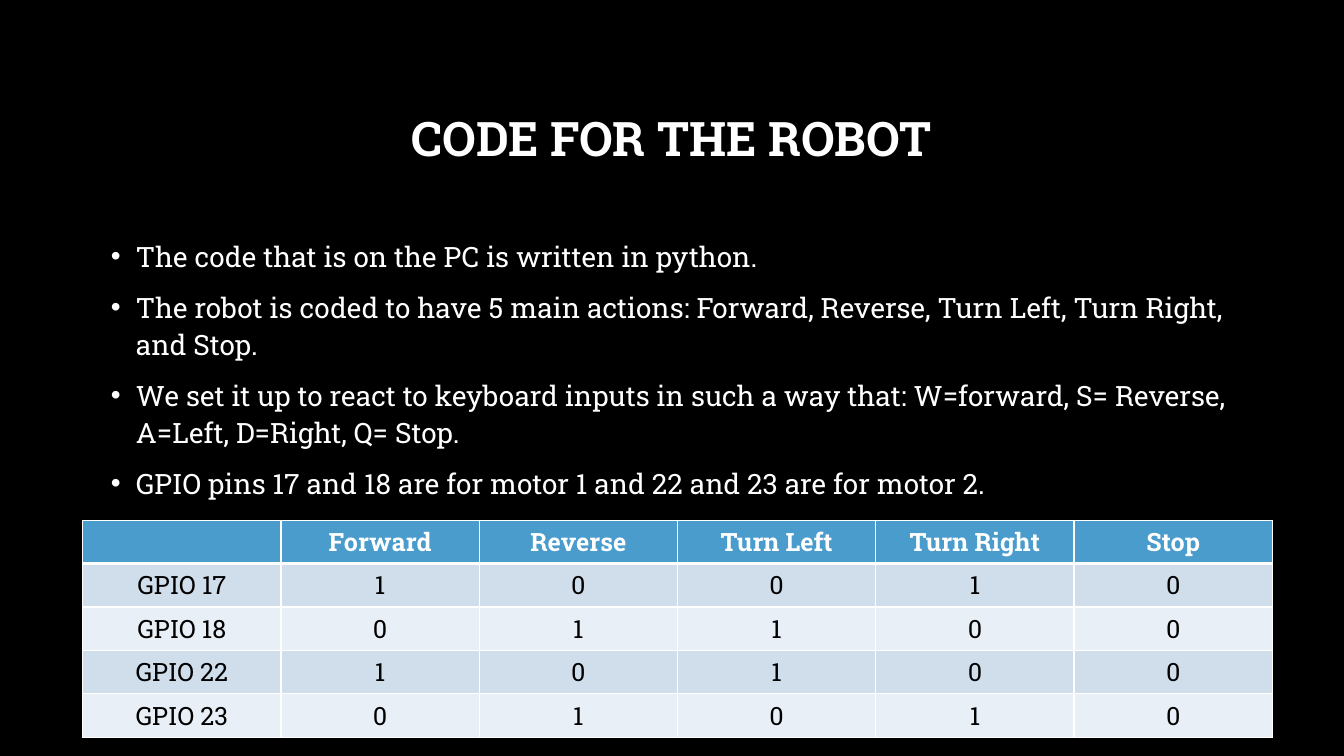
from pptx import Presentation
from pptx.dml.color import RGBColor
from pptx.enum.text import MSO_ANCHOR, MSO_AUTO_SIZE, PP_ALIGN
from pptx.oxml import parse_xml
from pptx.oxml.ns import nsdecls
from pptx.util import Inches, Pt

FONT = "Roboto Slab"
WHITE, BLACK = "FFFFFF", "000000"
HEADER_FILL = "4A9CCC"
BAND_FILLS = ("D0DEEC", "E9EFF6")

POINTS = [
    "The code that is on the PC is written in python.",
    "The robot is coded to have 5 main actions: Forward, Reverse, Turn Left, "
    "Turn Right, and Stop.",
    "We set it up to react to keyboard inputs in such a way that: W=forward, "
    "S= Reverse, A=Left, D=Right, Q= Stop.",
    "GPIO pins 17 and 18 are for motor 1 and 22 and 23 are for motor 2.",
]
PIN_STATES = [
    ("", "Forward", "Reverse", "Turn Left", "Turn Right", "Stop"),
    ("GPIO 17", "1", "0", "0", "1", "0"),
    ("GPIO 18", "0", "1", "1", "0", "0"),
    ("GPIO 22", "1", "0", "1", "0", "0"),
    ("GPIO 23", "0", "1", "0", "1", "0"),
]


def rgb(color):
    return RGBColor.from_string(color)


def format_text(paragraph, size, color, bold=False):
    for run in paragraph.runs:
        run.font.name = FONT
        run.font.size = Pt(size)
        run.font.bold = bold
        run.font.color.rgb = rgb(color)


def place_title(slide, text):
    title = slide.shapes.title
    title.left, title.top = Inches(1), Inches(0.67)
    title.width, title.height = Inches(11.32), Inches(1.45)
    frame = title.text_frame
    frame.text = text
    frame.vertical_anchor = MSO_ANCHOR.MIDDLE
    heading = frame.paragraphs[0]
    heading.alignment = PP_ALIGN.CENTER
    heading.line_spacing = 0.9
    format_text(heading, 34, WHITE, bold=True)


def add_bullet(paragraph):
    properties = paragraph._p.get_or_add_pPr()
    properties.set("marL", str(Inches(0.25)))
    properties.set("indent", str(Inches(-0.25)))
    for xml in ('<a:buFont {} typeface="Arial"/>', '<a:buChar {} char="•"/>'):
        properties.append(parse_xml(xml.format(nsdecls("a"))))


def add_bullet_list(slide, points):
    frame = slide.shapes.add_textbox(
        Inches(1), Inches(2.29), Inches(11.32), Inches(2.89)).text_frame
    frame.word_wrap = True
    frame.auto_size = MSO_AUTO_SIZE.TEXT_TO_FIT_SHAPE
    frame.text = "\n".join(points)
    for point in frame.paragraphs:
        point.line_spacing = 1.1
        point.space_before = Pt(10)
        add_bullet(point)
        format_text(point, 20, WHITE)


def set_borders(cell, bottom_width):
    properties = cell._tc.get_or_add_tcPr()
    widths = {"lnL": 1, "lnR": 1, "lnT": 1, "lnB": bottom_width}
    for position, (side, width) in enumerate(widths.items()):
        properties.insert(position, parse_xml(
            f'<a:{side} {nsdecls("a")} w="{Pt(width)}"><a:solidFill>'
            f'<a:srgbClr val="{WHITE}"/></a:solidFill></a:{side}>'))


def add_pin_table(slide, rows):
    row_height = Inches(0.43)
    table = slide.shapes.add_table(
        len(rows), len(rows[0]), Inches(0.82), Inches(5.16),
        Inches(11.8), row_height * len(rows)).table
    for row_index, values in enumerate(rows):
        is_header = row_index == 0
        fill = HEADER_FILL if is_header else BAND_FILLS[(row_index - 1) % 2]
        for column_index, value in enumerate(values):
            cell = table.cell(row_index, column_index)
            cell.text = value
            cell.fill.solid()
            cell.fill.fore_color.rgb = rgb(fill)
            label = cell.text_frame.paragraphs[0]
            label.alignment = PP_ALIGN.CENTER
            format_text(label, 18, WHITE if is_header else BLACK, is_header)
            set_borders(cell, 3 if is_header else 1)


def main():
    deck = Presentation()
    deck.slide_width, deck.slide_height = Inches(13.33), Inches(7.5)
    slide = deck.slides.add_slide(deck.slide_layouts[5])
    slide.background.fill.solid()
    slide.background.fill.fore_color.rgb = rgb(BLACK)
    place_title(slide, "CODE FOR THE ROBOT")
    add_bullet_list(slide, POINTS)
    add_pin_table(slide, PIN_STATES)
    deck.save("out.pptx")


if __name__ == "__main__":
    main()
